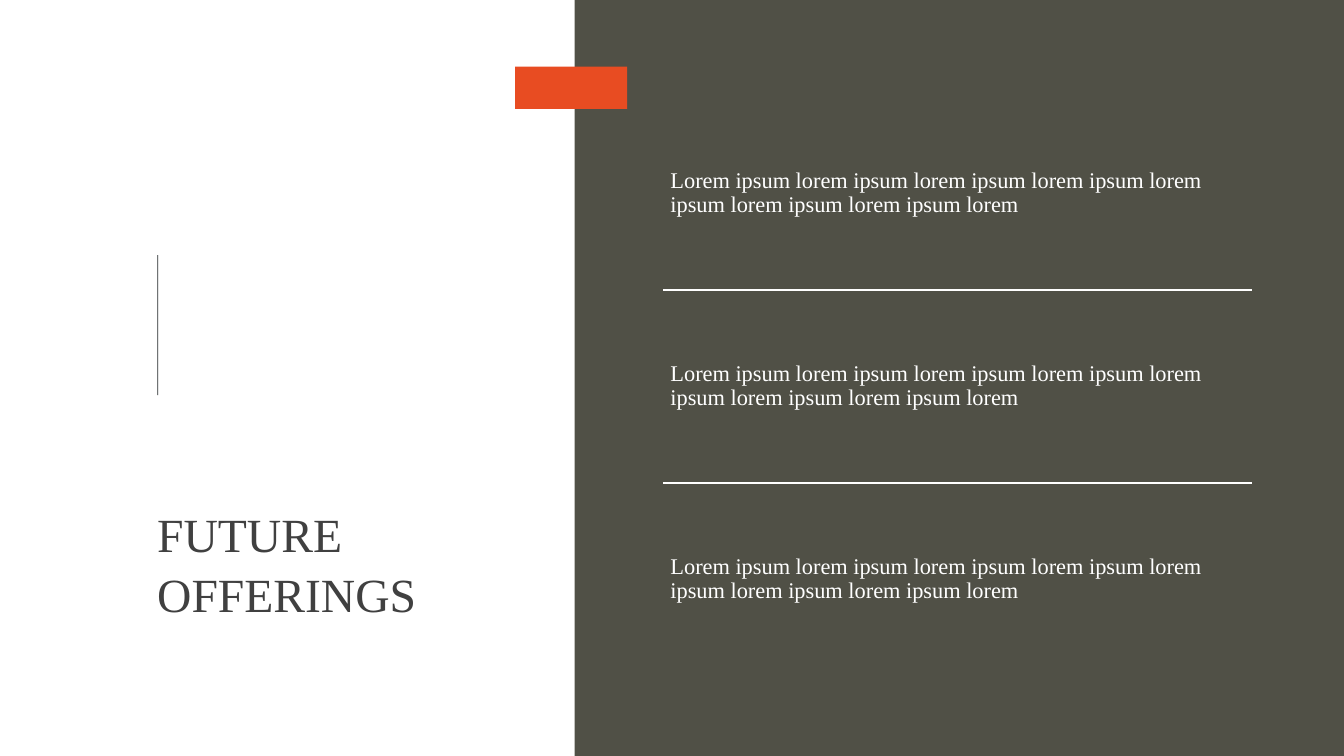
from pptx import Presentation
from pptx.dml.color import RGBColor
from pptx.enum.shapes import MSO_CONNECTOR, MSO_SHAPE
from pptx.enum.text import MSO_ANCHOR, PP_ALIGN
from pptx.oxml.xmlchemy import OxmlElement
from pptx.util import Inches, Pt

TITLE = "FUTURE OFFERINGS"
OFFERINGS = ["Lorem ipsum lorem ipsum lorem ipsum lorem ipsum lorem "
             "ipsum lorem ipsum lorem ipsum lorem"] * 3
COLORS = {"panel": "505046", "rule": "24282B", "accent": "E84C22",
          "title": "404040", "light": "FFFFFF"}
FONT = "Times New Roman"
W, H = 13.33, 7.5
PANEL_X = 5.7
TITLE_X = 1.56
LIST_X, LIST_Y, LIST_W, ROW_H = 6.58, 0.96, 5.84, 1.915
BLOCKS = [
    ("panel", (PANEL_X, 0, W - PANEL_X, H)),
    ("rule", (TITLE_X, 2.53, 0.01, 1.39)),
    ("accent", (5.11, 0.66, 1.11, 0.42)),
]
TITLE_STYLE = {"size": 34, "color": "title", "anchor": MSO_ANCHOR.BOTTOM,
               "inset": 0, "spacing": 1.04}
ITEM_STYLE = {"size": 16, "color": "light", "anchor": MSO_ANCHOR.MIDDLE,
              "inset": 0.07, "spacing": 0.9}


def rgb(name):
    return RGBColor.from_string(COLORS[name])


def add_block(s, color, box):
    sp = s.shapes.add_shape(MSO_SHAPE.RECTANGLE, *map(Inches, box))
    sp.shadow.inherit = False
    sp.fill.solid()
    sp.fill.fore_color.rgb = rgb(color)
    sp.line.fill.background()


def add_text(s, text, box, style):
    tf = s.shapes.add_textbox(*map(Inches, box)).text_frame
    tf.word_wrap = True
    tf.vertical_anchor = style["anchor"]
    for side in ("left", "top", "right", "bottom"):
        setattr(tf, f"margin_{side}", Inches(style["inset"]))
    p = tf.paragraphs[0]
    p.alignment = PP_ALIGN.LEFT
    p.line_spacing = style["spacing"]
    r = p.add_run()
    r.text = text
    for key, value in {"name": FONT, "size": Pt(style["size"])}.items():
        setattr(r.font, key, value)
    r.font.color.rgb = rgb(style["color"])


def add_divider(s, y):
    ends = map(Inches, (LIST_X, y, LIST_X + LIST_W, y))
    line = s.shapes.add_connector(MSO_CONNECTOR.STRAIGHT, *ends)
    line.line.color.rgb = rgb("light")
    line.line.width = Pt(1.75)
    line._element.spPr.append(OxmlElement("a:effectLst"))


def main():
    prs = Presentation()
    prs.slide_width, prs.slide_height = Inches(W), Inches(H)
    s = prs.slides.add_slide(prs.slide_layouts[6])
    for color, box in BLOCKS:
        add_block(s, color, box)
    add_text(s, TITLE, (TITLE_X, 4.41, 4, 1.76), TITLE_STYLE)
    for i, text in enumerate(OFFERINGS):
        y = LIST_Y + i * ROW_H
        if i:
            add_divider(s, y)
        add_text(s, text, (LIST_X, y, LIST_W, ROW_H), ITEM_STYLE)
    prs.save("out.pptx")


if __name__ == "__main__":
    main()
